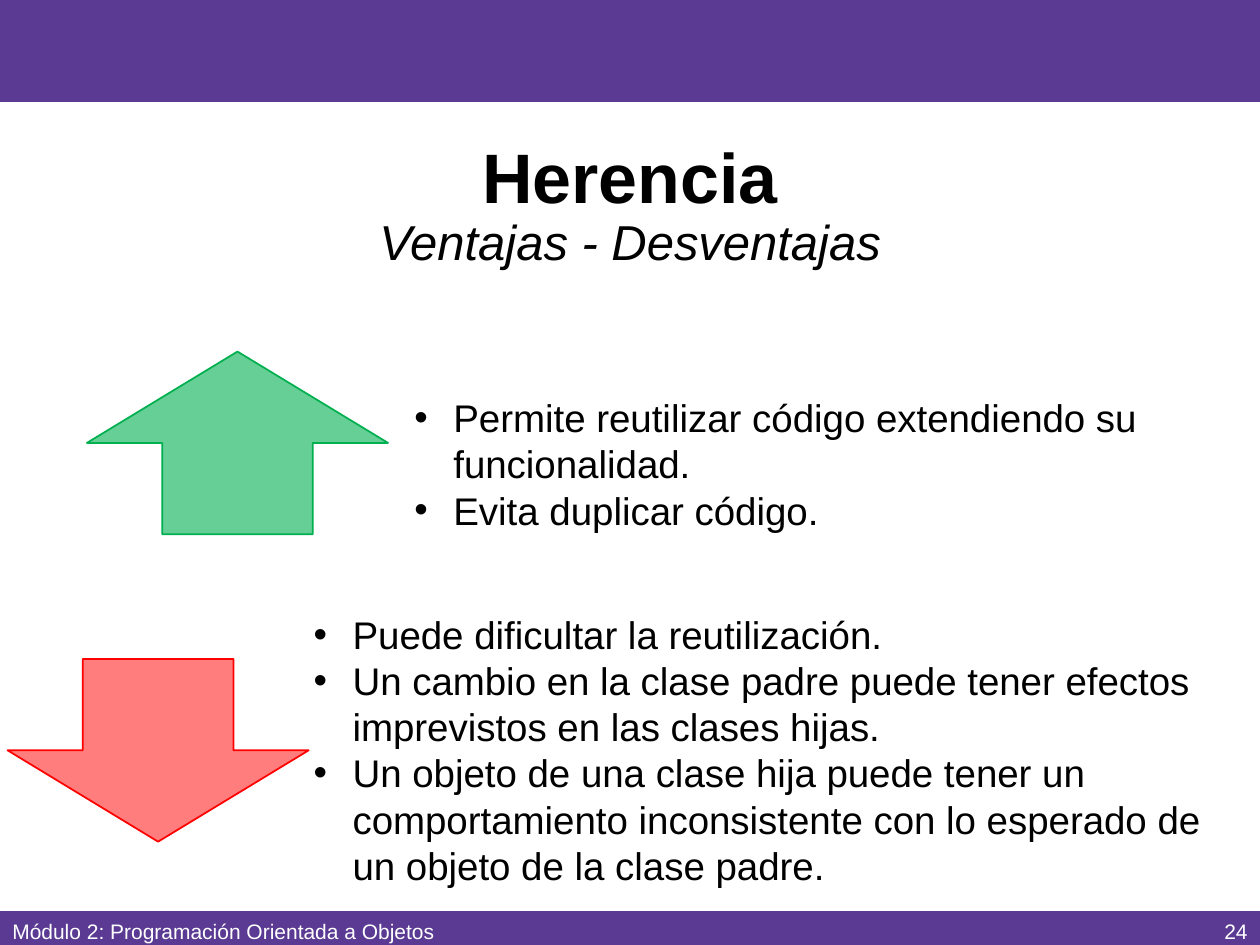
from dataclasses import dataclass
from lxml.etree import SubElement as Sub
from pptx import Presentation as Deck
from pptx.dml.color import RGBColor as Rgb
from pptx.enum.shapes import MSO_SHAPE as Kind
from pptx.enum.text import MSO_ANCHOR as Anchor, MSO_AUTO_SIZE as Fit, PP_ALIGN as Align
from pptx.oxml.ns import qn
from pptx.util import Inches, Pt


@dataclass(frozen=True)
class Theme:
    """Colours, font and type sizes of the slide."""
    bar: str = "5A3A92"
    ink: str = "000000"
    pale: str = "FFFFFF"
    good: str = "00B050"
    bad: str = "FF0000"
    font: str = "Arial"
    head: int = 40
    sub: int = 28
    body: int = 22
    foot: int = 12


@dataclass(frozen=True)
class Box:
    """A region in slide units."""
    x: float
    y: float
    w: float
    h: float

    def cut(self, x, y, w, h):
        """Return the sub-box at the given percentages of this box."""
        return Box(self.x + self.w * x / 100, self.y + self.h * y / 100,
                   self.w * w / 100, self.h * h / 100)

    def spot(self):
        """Return left, top, width and height as whole units."""
        return [round(v) for v in (self.x, self.y, self.w, self.h)]


LOOK = Theme()
PAGE = Box(0, 0, Inches(10), Inches(7.5))


def put(item, **vals):
    """Set each given attribute on the item."""
    for name, val in vals.items():
        setattr(item, name, val)


def write(para, text, size, color=LOOK.ink, **vals):
    """Add a styled run to the paragraph."""
    run = para.add_run()
    run.text = text
    put(run.font, name=LOOK.font, size=Pt(size), **vals)
    run.font.color.rgb = Rgb.from_string(color)


def shape(slide, box, kind, color, alpha=None):
    """Add a filled shape, outlined when it is see-through."""
    item = slide.shapes.add_shape(kind, *box.spot())
    item.shadow.inherit = False
    tint = Rgb.from_string(color)
    item.fill.solid()
    item.fill.fore_color.rgb = tint
    if alpha is None:
        item.line.fill.background()
        return
    item.line.color.rgb = tint
    item.line.width = Pt(1)
    node = item._element.spPr.find(qn("a:solidFill"))[0]
    Sub(node, qn("a:alpha"), val=str(alpha * 1000))


def label(slide, box, text, align):
    """Add a one-line footer text."""
    frame = slide.shapes.add_textbox(*box.spot()).text_frame
    put(frame, word_wrap=True, vertical_anchor=Anchor.MIDDLE)
    para = frame.paragraphs[0]
    para.alignment = align
    write(para, text, LOOK.foot, LOOK.pale)


def points(slide, box, lines):
    """Add a bulleted list."""
    frame = slide.shapes.add_textbox(*box.spot()).text_frame
    put(frame, word_wrap=True, auto_size=Fit.SHAPE_TO_FIT_TEXT)
    gap = Inches(0.31)
    for num, text in enumerate(lines):
        para = frame.add_paragraph() if num else frame.paragraphs[0]
        props = para._p.get_or_add_pPr()
        props.set("marL", str(gap))
        props.set("indent", str(-gap))
        Sub(props, qn("a:buFont"), typeface=LOOK.font)
        Sub(props, qn("a:buChar"), char="•")
        write(para, text, LOOK.body)


def title(slide, box, head, sub):
    """Fill the title placeholder with a heading and a subheading."""
    item = slide.shapes.title
    put(item, **dict(zip(("left", "top", "width", "height"), box.spot())))
    frame = item.text_frame
    put(frame, word_wrap=True, auto_size=Fit.NONE, vertical_anchor=Anchor.MIDDLE)
    para = frame.paragraphs[0]
    put(para, alignment=Align.CENTER, line_spacing=0.9)
    write(para, head, LOOK.head, bold=True)
    para.add_line_break()
    Sub(para._p.find(qn("a:br")), qn("a:rPr"), sz=str(LOOK.head * 100))
    write(para, sub, LOOK.sub, bold=False, italic=True)


def footer(slide, box, text, page):
    """Add the bottom bar with its text and page number."""
    shape(slide, box.cut(0, 10, 100, 77.5), Kind.RECTANGLE, LOOK.bar)
    label(slide, box.cut(0, 0, 39, 100), text, Align.LEFT)
    label(slide, box.cut(77.5, 0, 22.5, 100), page, Align.RIGHT)


def side(slide, box, kind, color, alpha, arrow, start, lines):
    """Add an arrow with its list running to the region's far corner."""
    x, y = start
    shape(slide, box.cut(*arrow), kind, color, alpha)
    points(slide, box.cut(x, y, 100 - x, 100 - y), lines)


def main():
    """Build and save the slide."""
    deck = Deck()
    put(deck, slide_width=PAGE.w, slide_height=PAGE.h)
    slide = deck.slides.add_slide(deck.slide_layouts[5])
    shape(slide, PAGE.cut(0, 0, 100, 10.8), Kind.RECTANGLE, LOOK.bar)
    title(slide, PAGE.cut(6.9, 13.07, 86.2, 17.73), "Herencia", "Ventajas - Desventajas")
    side(slide, PAGE.cut(6.9, 37.2, 89.6, 20), Kind.UP_ARROW, LOOK.good, 60,
         (0, 0, 26.67, 96.67), (27.9, 19.33), (
             "Permite reutilizar código extendiendo su funcionalidad.",
             "Evita duplicar código."))
    side(slide, PAGE.cut(0.6, 64, 95.8, 30.93), Kind.DOWN_ARROW, LOOK.bad, 51,
         (0, 18.53, 24.95, 62.5), (24.32, 0), (
             "Puede dificultar la reutilización.",
             "Un cambio en la clase padre puede tener efectos imprevistos en las clases hijas.",
             "Un objeto de una clase hija puede tener un comportamiento inconsistente "
             "con lo esperado de un objeto de la clase padre."))
    footer(slide, PAGE.cut(0, 95.87, 100, 5.33),
           "Módulo 2: Programación Orientada a Objetos", "24")
    deck.save("out.pptx")


if __name__ == "__main__":
    main()
